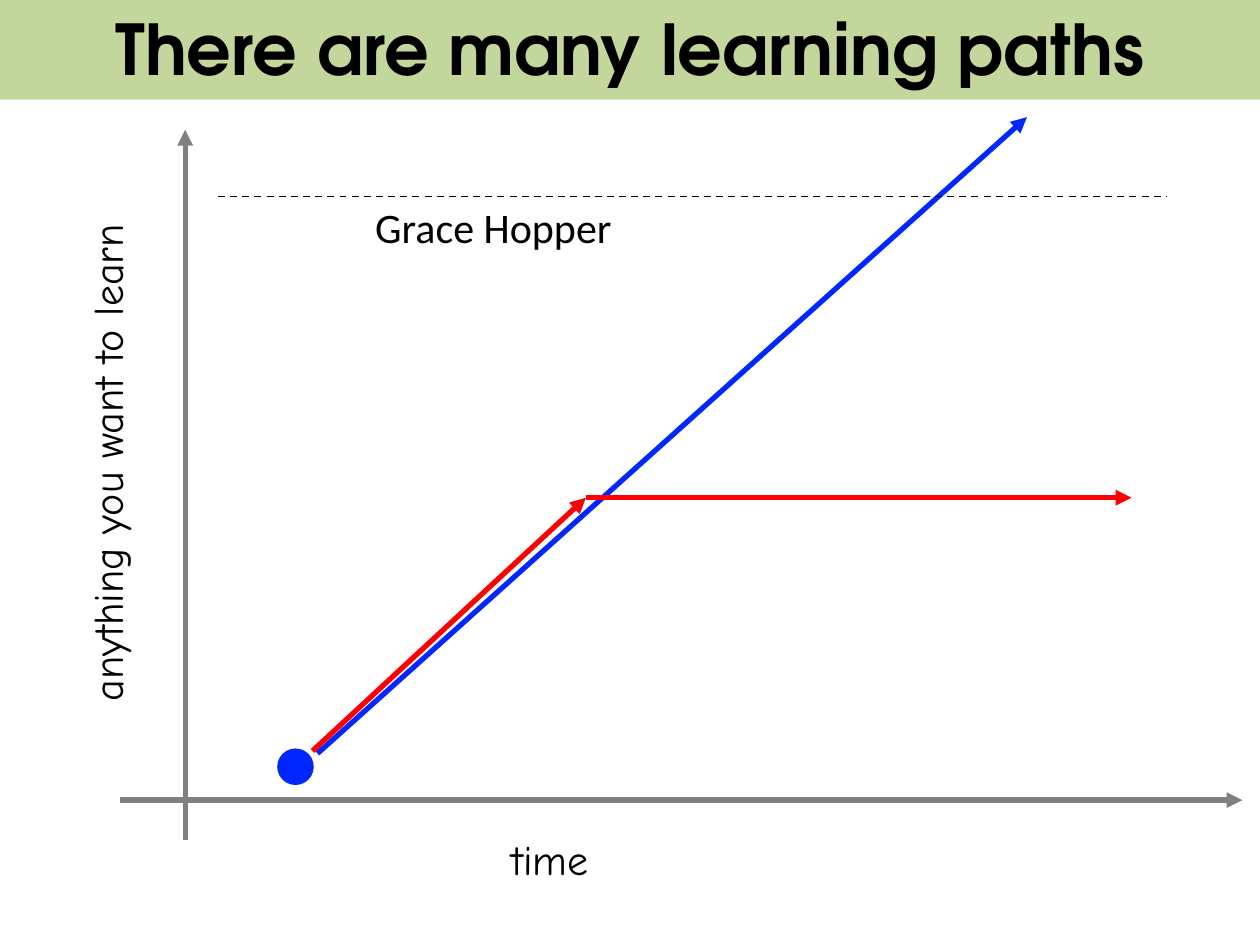
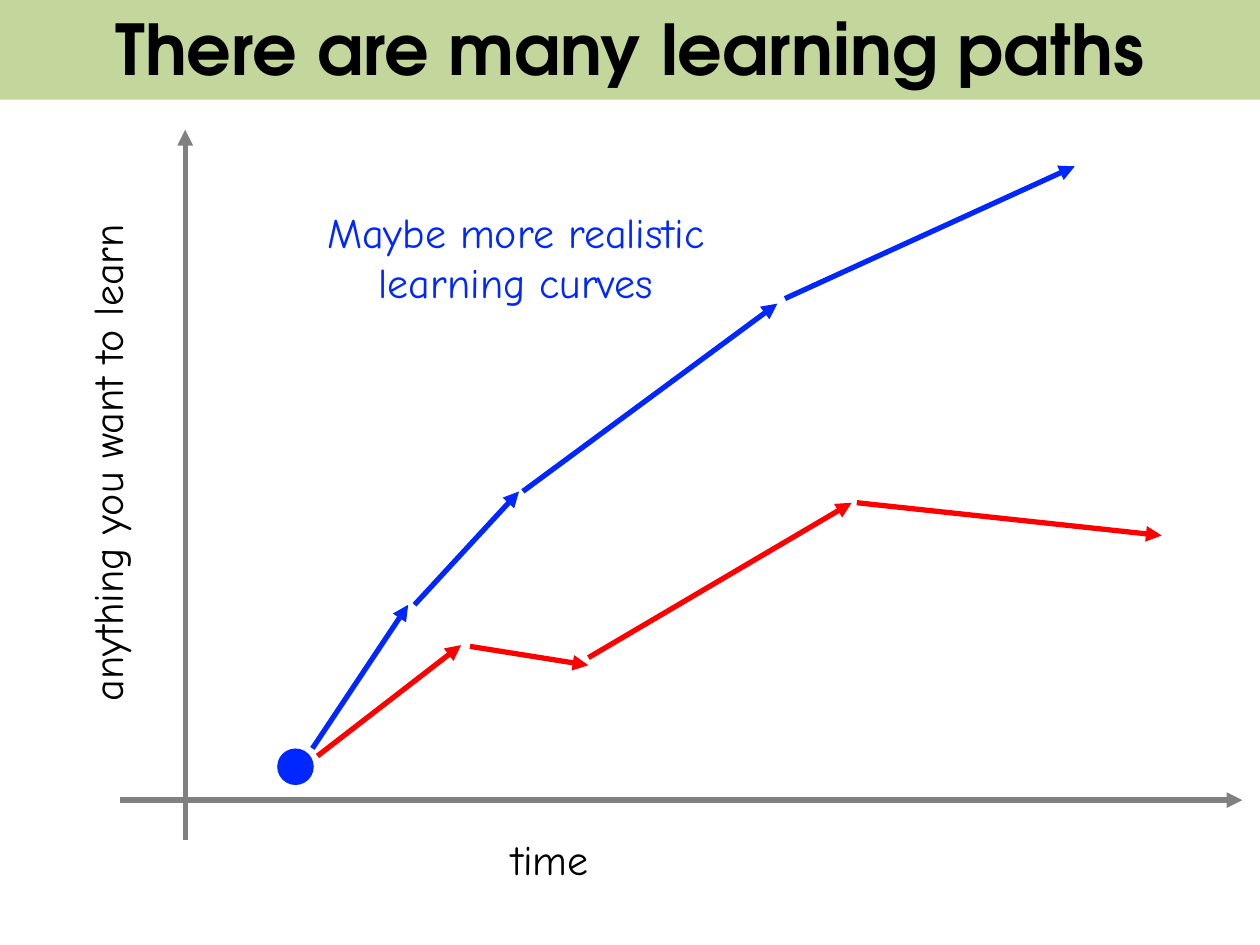
from typing import NamedTuple

from lxml import etree
from pptx import Presentation
from pptx.dml.color import RGBColor
from pptx.enum.dml import MSO_LINE
from pptx.enum.shapes import MSO_CONNECTOR, MSO_SHAPE
from pptx.enum.text import MSO_ANCHOR, MSO_AUTO_SIZE, PP_ALIGN
from pptx.oxml.ns import qn
from pptx.util import Pt

PX = 9144  # 100 px to the inch
STRAIGHT = MSO_CONNECTOR.STRAIGHT
OVAL, RECT = MSO_SHAPE.OVAL, MSO_SHAPE.RECTANGLE
LEFT, CENTER = PP_ALIGN.LEFT, PP_ALIGN.CENTER
MIDDLE = MSO_ANCHOR.MIDDLE
GROW = MSO_AUTO_SIZE.SHAPE_TO_FIT_TEXT
DASH = MSO_LINE.DASH

COLORS = {"axis": "808080", "blue": "0027FF", "red": "FF0000",
          "band": "C3D69C", "ink": "000000"}
TITLE_FONT, HAND_FONT, PLAIN_FONT = "TeX Gyre Adventor", "Comic Neue", "Calibri"


class Arrow(NamedTuple):
    x1: int
    y1: int
    x2: int
    y2: int
    color: str


class Label(NamedTuple):
    text: str
    x: int
    y: int
    w: int
    h: int
    font: str = HAND_FONT
    color: str = "ink"
    turn: int = 0
    wrap: bool = False
    align: PP_ALIGN = LEFT


AXES = [Arrow(147, 667, 147, 103, "axis"), Arrow(95, 635, 986, 635, "axis")]
AXIS_LABELS = [
    Label("time", 396, 657, 88, 50),
    Label("anything you want to learn", -133, 324, 435, 50, turn=270),
]
GOAL = Arrow(173, 156, 926, 156, "ink")
GOAL_LABEL = Label("Grace Hopper", 288, 155, 210, 50, PLAIN_FONT)
SIMPLE = [
    Arrow(252, 598, 815, 93, "blue"),
    Arrow(248, 596, 465, 395, "red"),
    Arrow(465, 395, 898, 395, "red"),
]
REAL = [
    Arrow(248, 594, 324, 480, "blue"),
    Arrow(329, 480, 412, 390, "blue"),
    Arrow(415, 390, 617, 241, "blue"),
    Arrow(623, 237, 853, 132, "blue"),
    Arrow(252, 600, 366, 512, "red"),
    Arrow(373, 513, 467, 528, "red"),
    Arrow(467, 522, 676, 399, "red"),
    Arrow(680, 399, 922, 425, "red"),
]
REAL_LABEL = Label("Maybe more realistic learning curves", 236, 159, 347, 91,
                   color="blue", wrap=True, align=CENTER)


def rgb(name: str) -> RGBColor:
    return RGBColor.from_string(COLORS[name])


def style(para, font: str, size: int, color: str, bold: bool = False) -> None:
    for run in para.runs:
        run.font.name = font
        run.font.size = Pt(size)
        run.font.bold = bold
        run.font.color.rgb = rgb(color)


def add_line(slide, arrow: Arrow, goal: bool = False) -> None:
    """Draw an arrow, or a thin dashed line for a goal."""
    ends = [n * PX for n in arrow[:4]]
    line = slide.shapes.add_connector(STRAIGHT, *ends)
    line.line.color.rgb = rgb(arrow.color)
    line.line.width = Pt(1 if goal else 3)
    props = line.element.spPr
    if goal:
        line.line.dash_style = DASH
    else:
        etree.SubElement(props.find(qn("a:ln")), qn("a:tailEnd"), type="triangle")
    etree.SubElement(props, qn("a:effectLst"))


def add_label(slide, label: Label) -> None:
    box = slide.shapes.add_textbox(*(n * PX for n in label[1:5]))
    box.rotation = label.turn
    frame = box.text_frame
    frame.word_wrap = label.wrap
    frame.auto_size = GROW
    frame.text = label.text
    para = frame.paragraphs[0]
    para.alignment = label.align
    style(para, label.font, 24, label.color)


def add_solid(slide, kind: MSO_SHAPE, x: int, y: int, w: int, h: int, color: str):
    shape = slide.shapes.add_shape(kind, x * PX, y * PX, w * PX, h * PX)
    shape.shadow.inherit = False
    shape.fill.solid()
    shape.fill.fore_color.rgb = rgb(color)
    shape.line.fill.background()
    return shape


def add_graph(deck, paths: list[Arrow], labels: list[Label]):
    """Add a slide with the title band, axes, starting dot and given paths."""
    slide = deck.slides.add_slide(deck.slide_layouts[6])
    for axis in AXES:
        add_line(slide, axis)
    add_solid(slide, OVAL, 220, 594, 29, 29, "blue")
    band = add_solid(slide, RECT, 0, -3, 1000, 82, "band")
    frame = band.text_frame
    frame.word_wrap = True
    frame.vertical_anchor = MIDDLE
    frame.text = "There are many learning paths"
    para = frame.paragraphs[0]
    para.alignment = CENTER
    style(para, TITLE_FONT, 40, "ink", bold=True)
    for path in paths:
        add_line(slide, path)
    for label in AXIS_LABELS + labels:
        add_label(slide, label)
    return slide


def main() -> None:
    deck = Presentation()
    deck.slide_width, deck.slide_height = 1000 * PX, 750 * PX
    simple = add_graph(deck, SIMPLE, [GOAL_LABEL])
    add_line(simple, GOAL, goal=True)
    add_graph(deck, REAL, [REAL_LABEL])
    deck.save("out.pptx")


if __name__ == "__main__":
    main()
